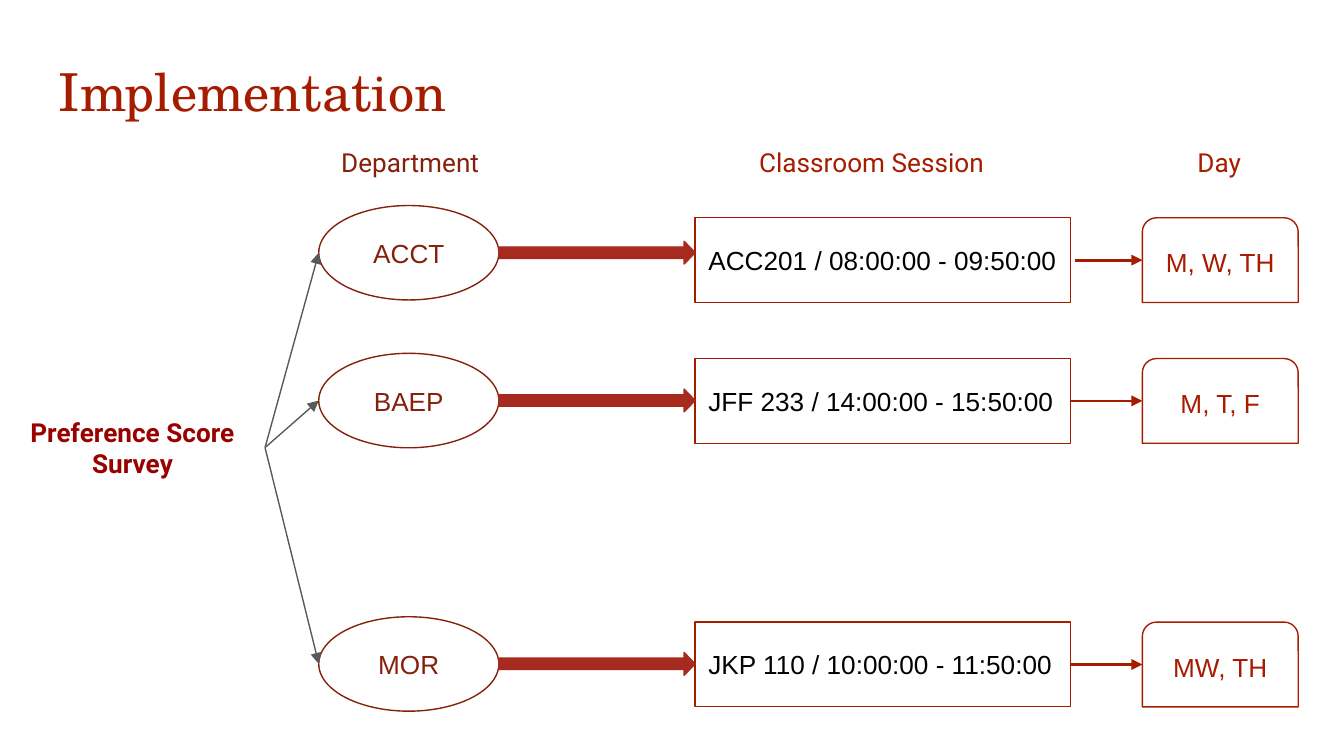
import dataclasses

import pptx
import pptx.dml.color
import pptx.enum.shapes
import pptx.enum.text
import pptx.oxml
import pptx.oxml.ns
import pptx.util

Pt = pptx.util.Pt
SHAPES = pptx.enum.shapes.MSO_SHAPE
ALIGN = pptx.enum.text.PP_ALIGN
ANCHOR = pptx.enum.text.MSO_ANCHOR


@dataclasses.dataclass(frozen=True)
class Theme:
    red: str = "A61C00"
    brown: str = "85200C"
    crimson: str = "990000"
    arrow: str = "A72A1E"
    gray: str = "595959"
    black: str = "000000"
    title_font: str = "TeX Gyre Schola"
    label_font: str = "Roboto"
    body_font: str = "Arial"
    title_size: float = 28
    body_size: float = 14
    inset: float = 7.2
    outline: float = 0.75
    arrow_line: float = 1.5


THEME = Theme()

# Each row: department, session, day, ellipse centre, box centre
ROWS = [
    ("ACCT", "ACC201 / 08:00:00 - 09:50:00", "M, W, TH", 135.4, 139.4),
    ("BAEP", "JFF 233 / 14:00:00 - 15:50:00", "M, T, F", 214.6, 214.8),
    ("MOR", "JKP 110 / 10:00:00 - 11:50:00", "MW, TH", 355.7, 356),
]
# Column headings: text, left, width, colour
HEADINGS = [
    ("Department", 175.7, 96.5, THEME.brown),
    ("Classroom Session", 399.6, 146.2, THEME.red),
    ("Day", 634.4, 39, THEME.red),
]
DEPARTMENT_LEFT, DEPARTMENT_WIDTH, DEPARTMENT_HEIGHT = 170.8, 96.5, 50.6
SESSION_LEFT, SESSION_WIDTH, BOX_HEIGHT = 372.4, 201, 45.4
DAY_LEFT, DAY_WIDTH = 612, 83.5
ARROW_HEIGHT = 12.2


def color(value):
    return pptx.dml.color.RGBColor.from_string(value)


def write_text(shape, text, *, ink, font=THEME.body_font, size=THEME.body_size,
               bold=False, align=ALIGN.LEFT, anchor=ANCHOR.MIDDLE,
               right_inset=THEME.inset):
    frame = shape.text_frame
    frame.word_wrap = True
    frame.vertical_anchor = anchor
    frame.margin_left = frame.margin_top = frame.margin_bottom = Pt(THEME.inset)
    frame.margin_right = Pt(right_inset)
    paragraph = frame.paragraphs[0]
    paragraph.alignment = align
    run = paragraph.add_run()
    run.text = text
    run.font.name = font
    run.font.size = Pt(size)
    run.font.bold = bold
    run.font.color.rgb = color(ink)


def add_label(slide, text, left, top, width, height, **text_format):
    shape = slide.shapes.add_textbox(Pt(left), Pt(top), Pt(width), Pt(height))
    write_text(shape, text, **text_format)
    return shape


def add_node(slide, kind, left, middle, width, height, *, line, fill=None):
    """Add a preset shape centred vertically on middle."""
    shape = slide.shapes.add_shape(
        kind, Pt(left), Pt(middle - height / 2), Pt(width), Pt(height))
    shape.shadow.inherit = False
    if fill:
        shape.fill.solid()
        shape.fill.fore_color.rgb = color(fill)
    else:
        shape.fill.background()
    shape.line.color.rgb = color(line)
    shape.line.width = Pt(THEME.outline)
    return shape


def add_arrow(slide, start, end, *, line, width, source=None):
    """Draw a line with an arrowhead, joined to the source's right side if given."""
    connector = slide.shapes.add_connector(
        pptx.enum.shapes.MSO_CONNECTOR.STRAIGHT,
        Pt(start[0]), Pt(start[1]), Pt(end[0]), Pt(end[1]))
    if source is not None:
        connector.begin_connect(source, 3)
    connector.line.color.rgb = color(line)
    connector.line.width = Pt(width)
    head = pptx.oxml.parse_xml(
        f'<a:tailEnd {pptx.oxml.ns.nsdecls("a")} type="triangle"/>')
    connector.line._get_or_add_ln().append(head)
    connector._element.spPr.append(
        pptx.oxml.parse_xml(f'<a:effectLst {pptx.oxml.ns.nsdecls("a")}/>'))


def add_row(slide, survey, department, session, day, department_y, box_y):
    # Department
    ellipse = add_node(slide, SHAPES.OVAL, DEPARTMENT_LEFT, department_y,
                       DEPARTMENT_WIDTH, DEPARTMENT_HEIGHT, line=THEME.brown)
    write_text(ellipse, department, ink=THEME.brown, align=ALIGN.CENTER)
    survey_right = survey.left.pt + survey.width.pt
    survey_middle = survey.top.pt + survey.height.pt / 2
    add_arrow(slide, (survey_right, survey_middle), (DEPARTMENT_LEFT, department_y),
              line=THEME.gray, width=THEME.outline, source=survey)

    # Classroom session
    box = add_node(slide, SHAPES.RECTANGLE, SESSION_LEFT, box_y,
                   SESSION_WIDTH, BOX_HEIGHT, line=THEME.red)
    write_text(box, session, ink=THEME.black, right_inset=4)
    department_right = DEPARTMENT_LEFT + DEPARTMENT_WIDTH
    block_arrow = add_node(slide, SHAPES.RIGHT_ARROW, department_right, department_y,
                           SESSION_LEFT - department_right, ARROW_HEIGHT,
                           line=THEME.arrow, fill=THEME.arrow)
    block_arrow.adjustments[0] = 0.5
    block_arrow.adjustments[1] = 0.48

    # Day
    tab = add_node(slide, SHAPES.ROUND_2_SAME_RECTANGLE, DAY_LEFT, box_y,
                   DAY_WIDTH, BOX_HEIGHT, line=THEME.red)
    write_text(tab, day, ink=THEME.red, align=ALIGN.CENTER)
    # The first day arrow starts a little clear of its session box
    detached = department == ROWS[0][0]
    start = 576 if detached else SESSION_LEFT + SESSION_WIDTH
    add_arrow(slide, (start, box_y), (DAY_LEFT, box_y), line=THEME.red,
              width=THEME.arrow_line, source=None if detached else box)


def main():
    presentation = pptx.Presentation()
    presentation.slide_width = Pt(720)
    presentation.slide_height = Pt(405)
    slide = presentation.slides.add_slide(presentation.slide_layouts[6])

    # Title and column headings
    add_label(slide, "Implementation", 24.5, 24.5, 671, 45.4, ink=THEME.red,
              font=THEME.title_font, size=THEME.title_size, anchor=ANCHOR.TOP)
    for text, left, width, ink in HEADINGS:
        add_label(slide, text, left, 71.3, width, 26.6, ink=ink,
                  font=THEME.label_font, anchor=ANCHOR.TOP)

    # Survey that feeds every department
    survey = add_label(slide, "Preference Score Survey", 0, 214.6, 142, 50.4,
                       ink=THEME.crimson, font=THEME.label_font, bold=True,
                       align=ALIGN.CENTER)

    # Rows
    for row in ROWS:
        add_row(slide, survey, *row)

    presentation.save("out.pptx")


if __name__ == "__main__":
    main()
